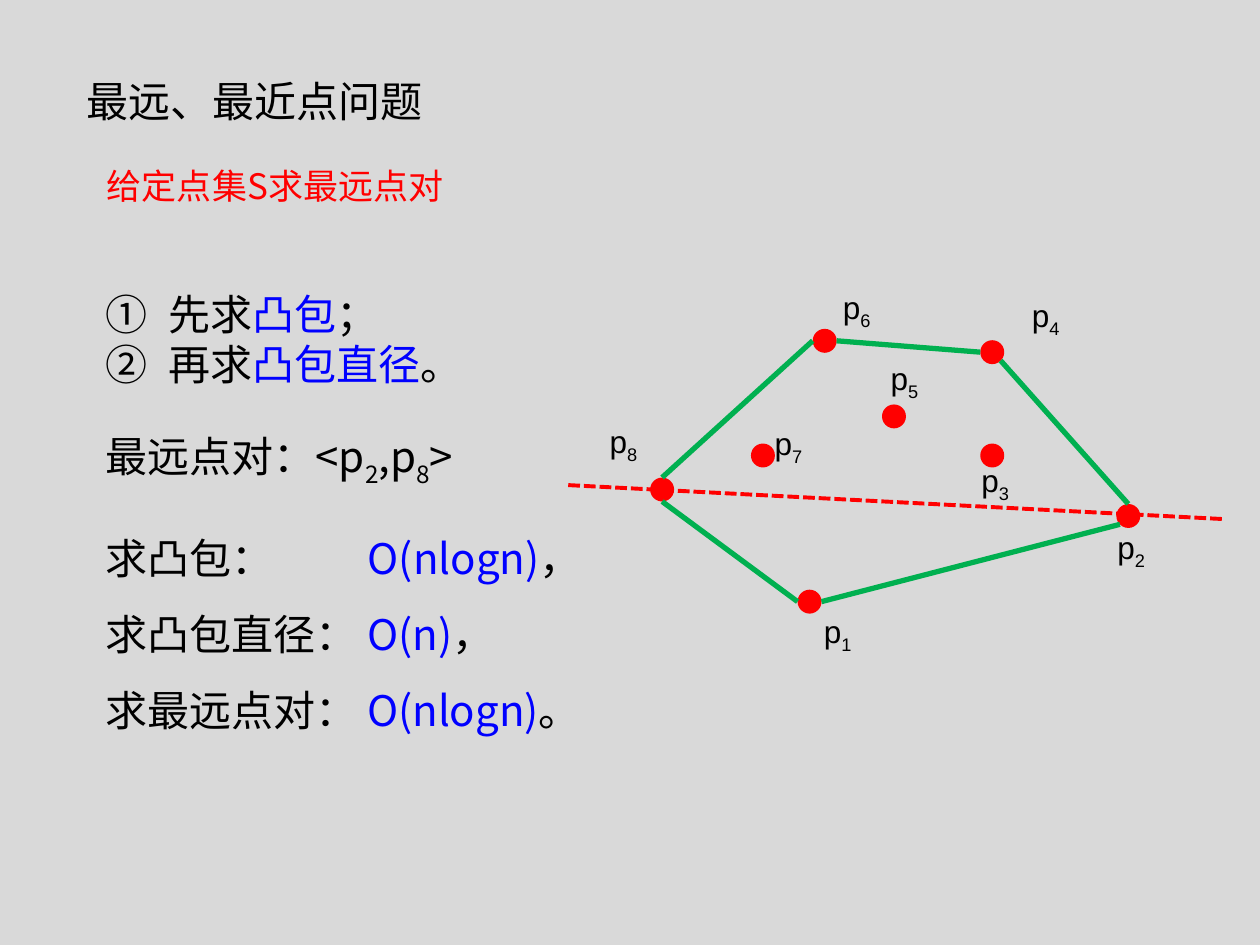
from lxml.etree import SubElement
from pptx import Presentation
from pptx.dml.color import RGBColor
from pptx.enum.dml import MSO_LINE
from pptx.enum.shapes import MSO_CONNECTOR, MSO_SHAPE
from pptx.enum.text import MSO_ANCHOR, MSO_AUTO_SIZE, PP_ALIGN
from pptx.oxml.ns import qn
from pptx.util import Inches, Pt

BLACK = RGBColor(0x00, 0x00, 0x00)
RED = RGBColor(0xFF, 0x00, 0x00)
BLUE = RGBColor(0x00, 0x00, 0xFF)
GREEN = RGBColor(0x00, 0xB0, 0x50)
GRAY = RGBColor(0xD9, 0xD9, 0xD9)
CJK, LATIN = "Noto Sans CJK SC", "Arial"
DOT = 0.19

POINTS = {
    1: ((6.33, 4.68), (6.44, 4.81)),
    2: ((8.86, 4.00), (8.77, 4.14)),
    3: ((7.78, 3.52), (7.69, 3.61)),
    4: ((7.78, 2.70), (8.09, 2.30)),
    5: ((7.00, 3.21), (6.97, 2.80)),
    6: ((6.45, 2.61), (6.59, 2.24)),
    7: ((5.96, 3.52), (6.05, 3.32)),
    8: ((5.16, 3.79), (4.74, 3.30)),
}
TOP, BOTTOM, LEFT, RIGHT = (0, -1), (0, 1), (-1, 0), (1, 0)
LOWER_LEFT, LOWER_RIGHT = (-0.7, 0.7), (0.7, 0.7)
HULL = [
    (1, RIGHT, 2, LOWER_LEFT),
    (4, LOWER_RIGHT, 2, TOP),
    (6, RIGHT, 4, LEFT),
    (8, TOP, 6, LEFT),
    (8, BOTTOM, 1, LEFT),
]


def site(point, direction):
    corner = POINTS[point][0]
    return [c + DOT / 2 * (1 + d) for c, d in zip(corner, direction)]


class SlideBuilder:
    def __init__(self, prs):
        self.s = prs.slides.add_slide(prs.slide_layouts[1])
        self.s.background.fill.solid()
        self.s.background.fill.fore_color.rgb = GRAY

    def run(self, p, text, size, font, color=BLACK, sub=False):
        r = p.add_run()
        r.text = text
        for name, value in {"size": Pt(size), "name": font}.items():
            setattr(r.font, name, value)
        r.font.color.rgb = color
        rPr = r._r.get_or_add_rPr()
        rPr.find(qn("a:latin")).addnext(SubElement(rPr, qn("a:ea"), typeface=CJK))
        if sub:
            rPr.set("baseline", "-25000")

    def fill_text(self, sp, box, lines, size=24, font=CJK, spacing=1.0,
                  anchor=MSO_ANCHOR.TOP, fit=MSO_AUTO_SIZE.SHAPE_TO_FIT_TEXT):
        for name, value in zip(("left", "top", "width", "height"), box):
            setattr(sp, name, Inches(value))
        tf = sp.text_frame
        for name, value in {"word_wrap": True, "auto_size": fit,
                            "vertical_anchor": anchor}.items():
            setattr(tf, name, value)
        for i, runs in enumerate(lines):
            p = tf.add_paragraph() if i else tf.paragraphs[0]
            for name, value in {"alignment": PP_ALIGN.LEFT, "space_before": Pt(0),
                                "line_spacing": spacing}.items():
                setattr(p, name, value)
            for text, *style in runs:
                self.run(p, text, size, font, *style)
        return tf.paragraphs

    def title(self, box, text):
        self.fill_text(self.s.shapes.title, box, [[(text,)]], font=LATIN, spacing=0.9,
                       anchor=MSO_ANCHOR.MIDDLE, fit=MSO_AUTO_SIZE.NONE)

    def numbered_list(self, box, lines):
        for p in self.fill_text(self.s.placeholders[1], box, lines):
            pPr = p._p.get_or_add_pPr()
            pPr.set("marL", str(Inches(0.5)))
            pPr.set("indent", str(-Inches(0.5)))
            SubElement(pPr, qn("a:buAutoNum"), type="circleNumDbPlain")

    def text(self, box, lines, tab=None, **style):
        sp = self.s.shapes.add_textbox(0, 0, 0, 0)
        for p in self.fill_text(sp, box, lines, **style):
            if tab:
                tabs = SubElement(p._p.get_or_add_pPr(), qn("a:tabLst"))
                SubElement(tabs, qn("a:tab"), pos=str(Inches(tab)), algn="l")

    def dot(self, x, y):
        sp = self.s.shapes.add_shape(MSO_SHAPE.FLOWCHART_CONNECTOR, Inches(x), Inches(y),
                                     Inches(DOT), Inches(DOT))
        sp.shadow.inherit = False
        sp.fill.solid()
        sp.fill.fore_color.rgb = RED
        sp.line.fill.background()

    def line(self, start, end, color, width, dash=None):
        ends = [Inches(v) for v in (*start, *end)]
        cn = self.s.shapes.add_connector(MSO_CONNECTOR.STRAIGHT, *ends)
        cn.line.color.rgb = color
        for name, value in {"width": Pt(width), "dash_style": dash}.items():
            setattr(cn.line, name, value)
        SubElement(cn._element.spPr, qn("a:effectLst"))


def main():
    prs = Presentation()
    prs.slide_width, prs.slide_height = Inches(10), Inches(7.5)
    b = SlideBuilder(prs)

    b.title((0.59, 0.49, 3.52, 0.67), "最远、最近点问题")
    b.text((0.75, 1.26, 4.41, 0.44), [[("给定点集S求最远点对", RED)]], size=20)
    b.numbered_list((0.74, 2.24, 3.98, 0.91), [
        [("先求",), ("凸包", BLUE), ("；",)],
        [("再求",), ("凸包直径", BLUE), ("。",)],
    ])
    b.line((4.51, 3.85), (9.71, 4.12), RED, 2.25, MSO_LINE.SQUARE_DOT)
    b.text((0.74, 3.37, 3.05, 0.51), [[
        ("最远点对：<p",), ("2", BLACK, True), (",p",), ("8", BLACK, True), (">",),
    ]])
    b.text((0.74, 3.98, 4.06, 1.92), [
        [("求凸包：\t",), ("O(nlogn)", BLUE), ("，",)],
        [("求凸包直径： ",), ("O(n)", BLUE), ("，",)],
        [("求最远点对： ",), ("O(nlogn)", BLUE), ("。",)],
    ], tab=2.08, spacing=1.5)

    for corner, _ in POINTS.values():
        b.dot(*corner)
    for number, (_, label) in POINTS.items():
        b.text((*label, 0.55, 0.4), [[("p",), (str(number), BLACK, True)]],
               size=18, font=LATIN)
    for start, start_side, end, end_side in HULL:
        b.line(site(start, start_side), site(end, end_side), GREEN, 3)

    prs.save("out.pptx")


if __name__ == "__main__":
    main()
